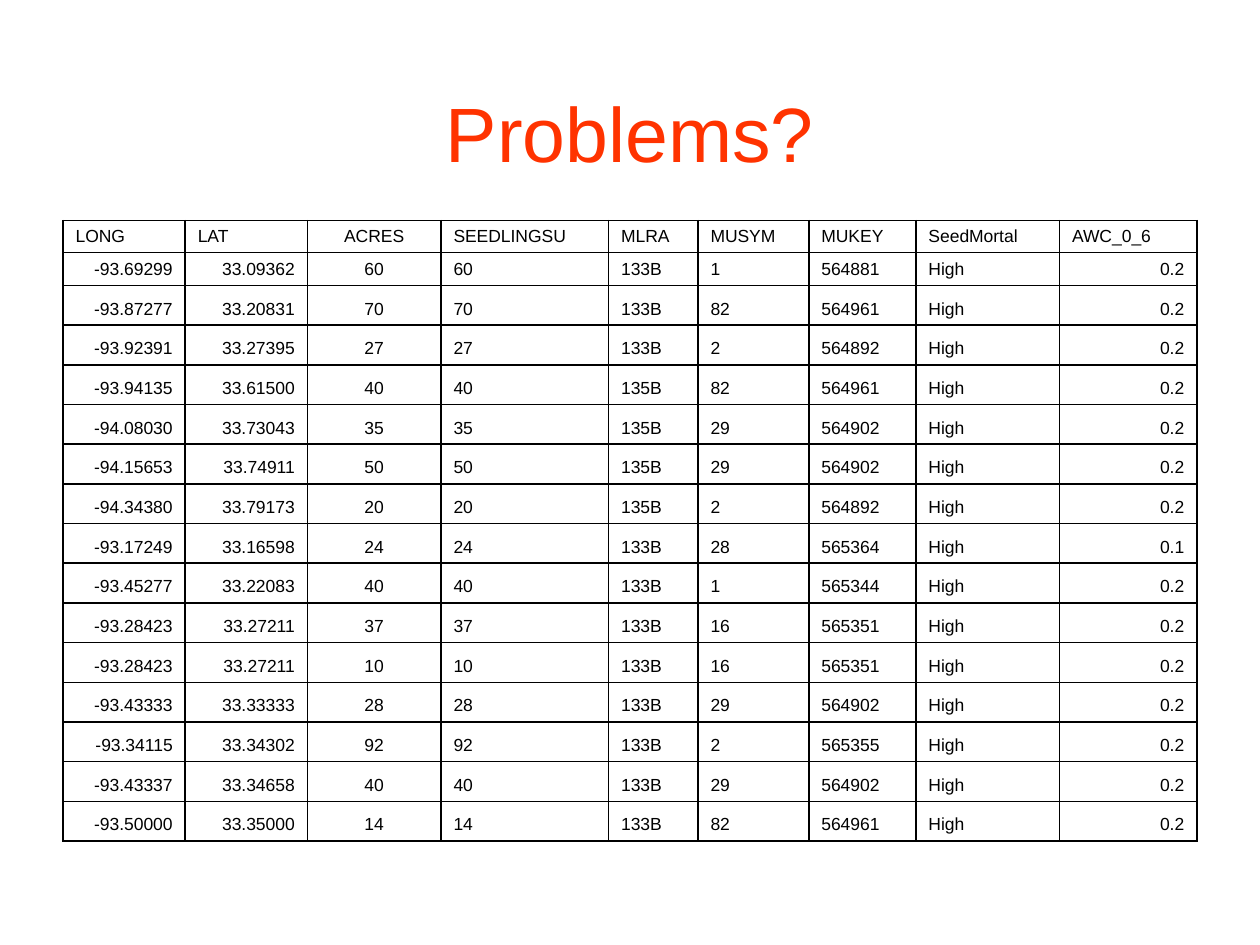
from typing import NamedTuple

from lxml.etree import SubElement
from pptx import Presentation
from pptx.dml.color import RGBColor
from pptx.enum.text import MSO_ANCHOR as Anchor, PP_ALIGN as Align
from pptx.oxml.ns import qn
from pptx.util import Inches, Pt

FONT = "Arial"
COLORS = {"title": "FF3300", "text": "000000", "border": "000000", "cell": "FFFFFF"}
LEFT, WIDTH = 0.5, 9
TABLE_TOP, TABLE_HEIGHT = 1.75, 4.92
HEADER_HEIGHT, FIRST_HEIGHT = 0.25, 0.26


class Column(NamedTuple):
    heading: str
    width: float
    heading_align: Align = Align.LEFT
    value_align: Align = Align.LEFT


class Plot(NamedTuple):
    long: str
    lat: str
    acres: str
    mlra: str
    musym: str
    mukey: str
    awc: str = "0.2"

    def values(self) -> list[str]:
        """One value per column; seedlings match acres and mortality is always high."""
        return [self.long, self.lat, self.acres, self.acres, self.mlra,
                self.musym, self.mukey, "High", self.awc]


COLUMNS = [
    Column("LONG", 0.97, value_align=Align.RIGHT),
    Column("LAT", 0.97, value_align=Align.RIGHT),
    Column("ACRES", 1.06, Align.CENTER, Align.CENTER),
    Column("SEEDLINGSU", 1.33),
    Column("MLRA", 0.71),
    Column("MUSYM", 0.88),
    Column("MUKEY", 0.85),
    Column("SeedMortal", 1.14),
    Column("AWC_0_6", 1.09, value_align=Align.RIGHT),
]
PLOTS = [
    Plot("-93.69299", "33.09362", "60", "133B", "1", "564881"),
    Plot("-93.87277", "33.20831", "70", "133B", "82", "564961"),
    Plot("-93.92391", "33.27395", "27", "133B", "2", "564892"),
    Plot("-93.94135", "33.61500", "40", "135B", "82", "564961"),
    Plot("-94.08030", "33.73043", "35", "135B", "29", "564902"),
    Plot("-94.15653", "33.74911", "50", "135B", "29", "564902"),
    Plot("-94.34380", "33.79173", "20", "135B", "2", "564892"),
    Plot("-93.17249", "33.16598", "24", "133B", "28", "565364", "0.1"),
    Plot("-93.45277", "33.22083", "40", "133B", "1", "565344"),
    Plot("-93.28423", "33.27211", "37", "133B", "16", "565351"),
    Plot("-93.28423", "33.27211", "10", "133B", "16", "565351"),
    Plot("-93.43333", "33.33333", "28", "133B", "29", "564902"),
    Plot("-93.34115", "33.34302", "92", "133B", "2", "565355"),
    Plot("-93.43337", "33.34658", "40", "133B", "29", "564902"),
    Plot("-93.50000", "33.35000", "14", "133B", "82", "564961"),
]


def write(para, text: str, size: float, color: str, align: Align) -> None:
    para.alignment = align
    span = para.add_run()
    span.text = text
    span.font.name = FONT
    span.font.size = Pt(size)
    span.font.color.rgb = RGBColor.from_string(COLORS[color])


def add_borders(cell, points: float = 1) -> None:
    properties = cell._tc.get_or_add_tcPr()
    for side in ("lnL", "lnR", "lnT", "lnB"):
        line = SubElement(properties, qn(f"a:{side}"), w=str(Pt(points)))
        fill = SubElement(line, qn("a:solidFill"))
        SubElement(fill, qn("a:srgbClr"), val=COLORS["border"])


def fill_cell(cell, text: str, align: Align) -> None:
    add_borders(cell)
    cell.fill.solid()
    cell.fill.fore_color.rgb = RGBColor.from_string(COLORS["cell"])
    cell.vertical_anchor = Anchor.BOTTOM
    write(cell.text_frame.paragraphs[0], text, 10, "text", align)


def add_title(page, text: str) -> None:
    box = page.shapes.title
    box.left, box.top = Inches(LEFT), Inches(0.42)
    box.width, box.height = Inches(WIDTH), Inches(1.25)
    box.text_frame.vertical_anchor = Anchor.MIDDLE
    write(box.text_frame.paragraphs[0], text, 44, "title", Align.CENTER)


def add_plot_table(page) -> None:
    table = page.shapes.add_table(
        len(PLOTS) + 1, len(COLUMNS), Inches(LEFT), Inches(TABLE_TOP),
        Inches(WIDTH), Inches(TABLE_HEIGHT)).table
    table.first_row = table.horz_banding = False

    other_height = (TABLE_HEIGHT - HEADER_HEIGHT - FIRST_HEIGHT) / (len(PLOTS) - 1)
    heights = [HEADER_HEIGHT, FIRST_HEIGHT] + [other_height] * (len(PLOTS) - 1)
    for row, height in zip(table.rows, heights):
        row.height = Inches(height)

    for index, column in enumerate(COLUMNS):
        table.columns[index].width = Inches(column.width)
        fill_cell(table.cell(0, index), column.heading, column.heading_align)
        for number, plot in enumerate(PLOTS, start=1):
            fill_cell(table.cell(number, index), plot.values()[index], column.value_align)


def main() -> None:
    deck = Presentation()
    deck.slide_width, deck.slide_height = Inches(10), Inches(7.5)
    page = deck.slides.add_slide(deck.slide_layouts.get_by_name("Title Only"))
    add_plot_table(page)
    add_title(page, "Problems?")
    deck.save("out.pptx")


if __name__ == "__main__":
    main()
